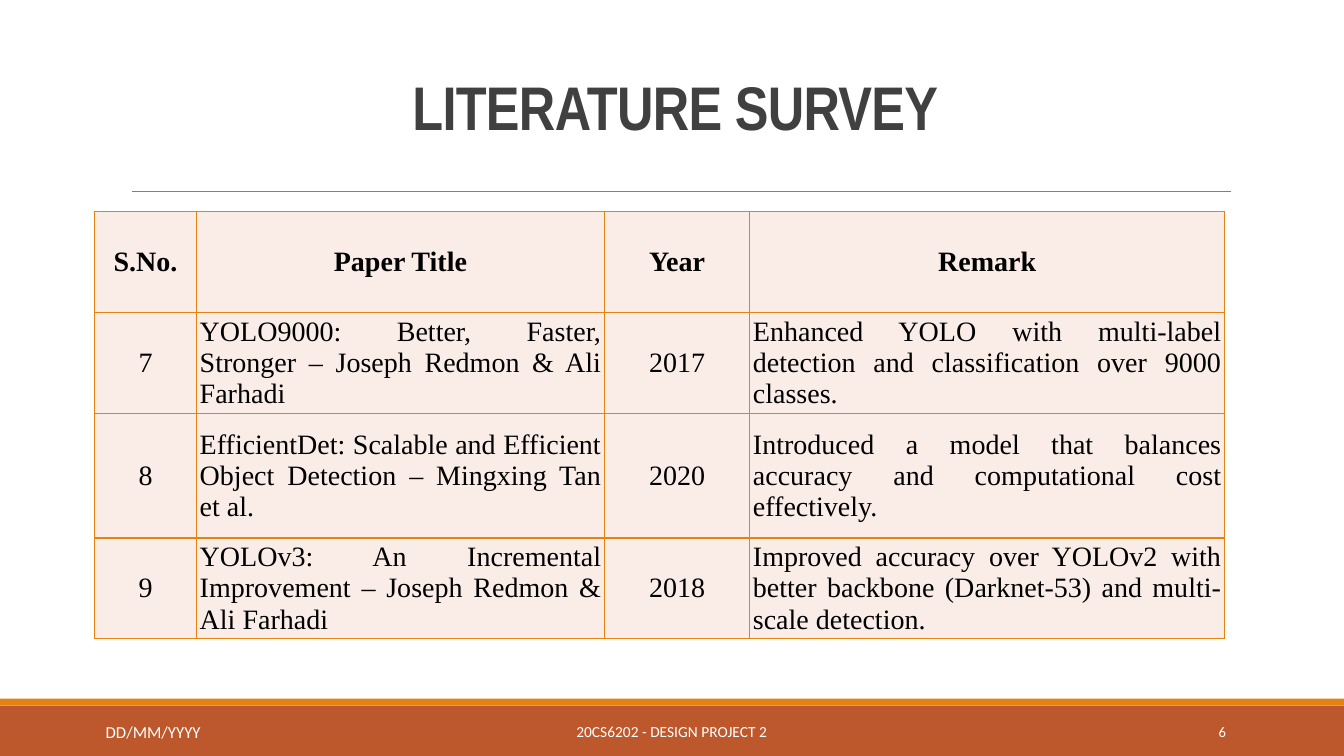
from dataclasses import dataclass

from lxml.etree import SubElement
from pptx import Presentation
from pptx.dml.color import RGBColor as RGB
from pptx.enum.shapes import MSO_CONNECTOR as CONN, MSO_SHAPE as SHAPE
from pptx.enum.text import MSO_ANCHOR as ANCHOR, PP_ALIGN as ALIGN
from pptx.oxml import parse_xml
from pptx.oxml.ns import nsdecls, qn
from pptx.util import Pt


@dataclass(frozen=True)
class Theme:
    rust: RGB = RGB.from_string("BD582C")
    orange: RGB = RGB.from_string("E48312")
    blush: RGB = RGB.from_string("FAEDE7")
    rule: RGB = RGB.from_string("808080")
    heading: RGB = RGB.from_string("404040")
    black: RGB = RGB.from_string("000000")
    white: RGB = RGB.from_string("FFFFFF")
    title_size: float = 44
    table_size: float = 20
    date_size: float = 12
    footer_size: float = 11
    number_size: float = 10.5


T = Theme()


def set_font(p, name, size, color, bold=False):
    f = p.font
    f.name, f.size, f.bold = name, Pt(size), bold
    f.color.rgb = color


def add_borders(cell, color):
    tcPr = cell._tc.get_or_add_tcPr()
    for i, side in enumerate(("lnL", "lnR", "lnT", "lnB")):
        tcPr.insert(i, parse_xml(
            f'<a:{side} {nsdecls("a")} w="{Pt(1)}"><a:solidFill>'
            f'<a:srgbClr val="{color}"/></a:solidFill></a:{side}>'))


prs = Presentation()
prs.slide_width, prs.slide_height = Pt(960), Pt(540)
s = prs.slides.add_slide(prs.slide_layouts[5])

# Footer bands
for top, height, color in ((504, 36, T.rust), (499, 5, T.orange)):
    band = s.shapes.add_shape(SHAPE.RECTANGLE, 0, Pt(top), prs.slide_width, Pt(height))
    band.shadow.inherit = False
    band.fill.solid()
    band.fill.fore_color.rgb = color
    band.line.fill.background()

# Rule under the title
rule = s.shapes.add_connector(CONN.STRAIGHT, Pt(94.3), Pt(136.8), Pt(879), Pt(136.8))
rule.line.color.rgb = T.rule
rule.line.width = Pt(0.5)
SubElement(rule._element.spPr, qn("a:effectLst"))

# Title
title = s.shapes.title
title.left, title.top, title.width, title.height = Pt(86.4), Pt(22.3), Pt(792), Pt(114.5)
tf = title.text_frame
tf.vertical_anchor = ANCHOR.MIDDLE
p = tf.paragraphs[0]
p.alignment, p.line_spacing = ALIGN.CENTER, 0.85
r = p.add_run()
r.text = "LITERATURE SURVEY"
set_font(p, "Arial Narrow", T.title_size, T.heading, bold=True)
r._r.get_or_add_rPr().set("spc", "-50")

# Survey table
papers = [
    ("S.No.", "Paper Title", "Year", "Remark"),
    ("7", "YOLO9000: Better, Faster, Stronger – Joseph Redmon & Ali Farhadi", "2017",
     "Enhanced YOLO with multi-label detection and classification over 9000 classes."),
    ("8", "EfficientDet: Scalable and Efficient Object Detection – Mingxing Tan et al.", "2020",
     "Introduced a model that balances accuracy and computational cost effectively."),
    ("9", "YOLOv3: An Incremental Improvement – Joseph Redmon & Ali Farhadi", "2018",
     "Improved accuracy over YOLOv2 with better backbone (Darknet-53) and "
     "multi-scale detection."),
]
col_widths = (73, 291.2, 104, 339)
row_heights = (72, 72, 89, 72)
table = s.shapes.add_table(len(papers), len(col_widths), Pt(67.5), Pt(151.3),
                           Pt(sum(col_widths)), Pt(sum(row_heights))).table
table.horz_banding = False
for col, width in zip(table.columns, col_widths):
    col.width = Pt(width)
for row, height in zip(table.rows, row_heights):
    row.height = Pt(height)

for i, paper in enumerate(papers):
    for j, text in enumerate(paper):
        cell = table.cell(i, j)
        cell.text = text
        cell.fill.solid()
        cell.fill.fore_color.rgb = T.blush
        cell.vertical_anchor = ANCHOR.MIDDLE
        cell.margin_left = cell.margin_right = Pt(2.2)
        cell.margin_top = cell.margin_bottom = Pt(1.4)
        p = cell.text_frame.paragraphs[0]
        p.alignment = ALIGN.JUSTIFY if i > 0 and j in (1, 3) else ALIGN.CENTER
        set_font(p, "Times New Roman", T.table_size, T.black, bold=i == 0)
        add_borders(cell, T.orange)

# Footer texts
footers = [
    ("20CS6202 - DESIGN PROJECT 2", 290.2, 508.3, 379.4, 28.8, ALIGN.CENTER, T.footer_size),
    ("6", 779.8, 508.3, 103, 28.8, ALIGN.RIGHT, T.number_size),
    ("DD/MM/YYYY", 68.4, 512, 186.5, 21.6, ALIGN.LEFT, T.date_size),
]
for text, left, top, width, height, align, size in footers:
    tf = s.shapes.add_textbox(Pt(left), Pt(top), Pt(width), Pt(height)).text_frame
    tf.word_wrap = True
    tf.vertical_anchor = ANCHOR.MIDDLE
    p = tf.paragraphs[0]
    p.text, p.alignment = text, align
    set_font(p, "Calibri", size, T.white)

prs.save("out.pptx")
